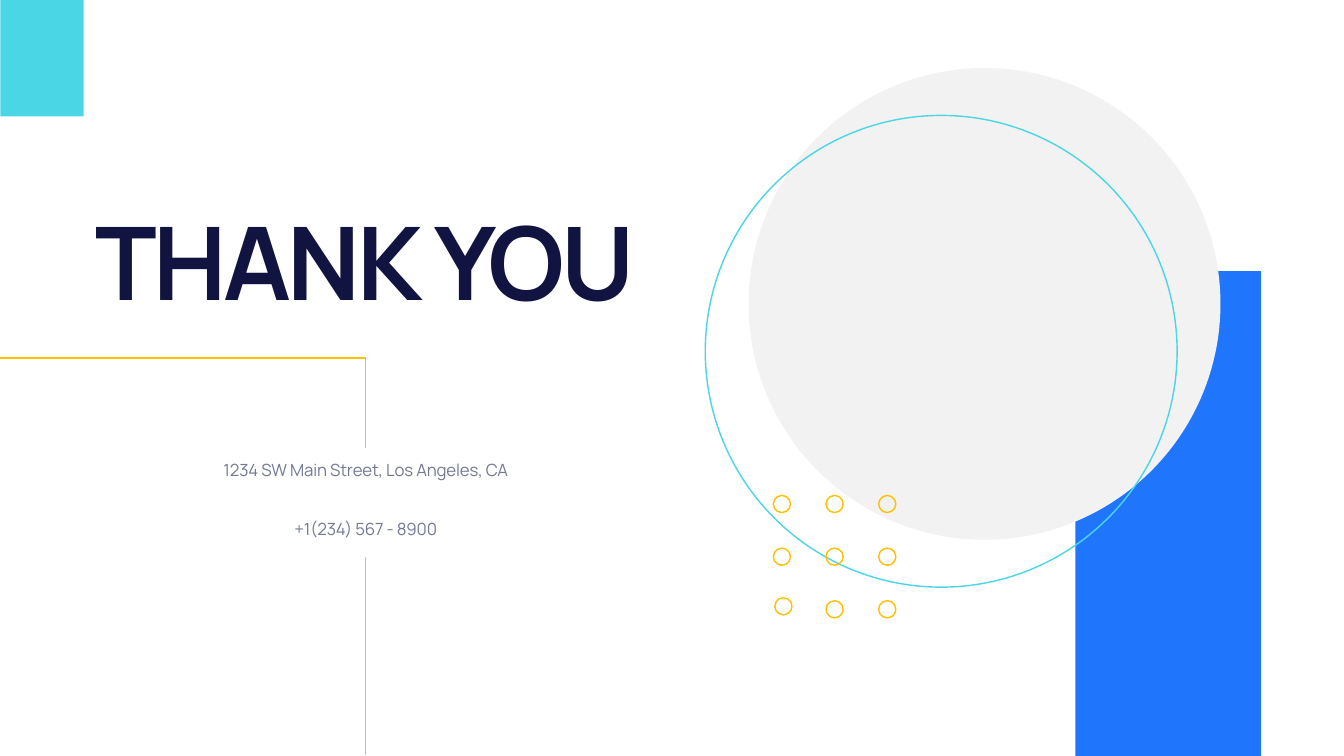
from lxml import etree
from pptx import Presentation
from pptx.dml.color import RGBColor
from pptx.enum.shapes import MSO_CONNECTOR, MSO_SHAPE
from pptx.enum.text import MSO_ANCHOR, MSO_AUTO_SIZE, PP_ALIGN
from pptx.oxml.ns import qn
from pptx.util import Inches, Pt

RECT, OVAL = MSO_SHAPE.RECTANGLE, MSO_SHAPE.OVAL
STRAIGHT = MSO_CONNECTOR.STRAIGHT
TOP, BOTTOM = MSO_ANCHOR.TOP, MSO_ANCHOR.BOTTOM
GROW = MSO_AUTO_SIZE.SHAPE_TO_FIT_TEXT
CENTER = PP_ALIGN.CENTER

BLUE = RGBColor(0x20, 0x75, 0xFD)
CYAN = RGBColor(0x4B, 0xD6, 0xE5)
YELLOW = RGBColor(0xFF, 0xC0, 0x00)
PALE = RGBColor(0xF2, 0xF2, 0xF2)
NAVY = RGBColor(0x11, 0x13, 0x40)
GREY = RGBColor(0x74, 0x79, 0x94)
FONT = "Manrope"
LINE_WIDTH = Pt(2)


def set_line(shape, color):
    """Give a shape or connector the slide's line style."""
    shape.line.color.rgb = color
    shape.line.width = LINE_WIDTH


def add_filled(shapes, kind, box, color):
    """Add a preset shape with a plain fill and no line."""
    sp = shapes.add_shape(kind, *map(Inches, box))
    sp.shadow.inherit = False
    sp.fill.solid()
    sp.fill.fore_color.rgb = color
    sp.line.fill.background()


def add_ring(shapes, left, top, size, color):
    """Add an outlined circle."""
    sp = shapes.add_shape(OVAL, Inches(left), Inches(top), Inches(size), Inches(size))
    sp.shadow.inherit = False
    sp.fill.background()
    set_line(sp, color)


def add_line(shapes, start, end, color):
    """Add a straight line without a shadow."""
    line = shapes.add_connector(STRAIGHT, *map(Inches, start + end))
    set_line(line, color)
    etree.SubElement(line._element.spPr, qn("a:effectLst"))


def add_corner(shapes, points, color):
    """Add an open line through the given points."""
    builder = shapes.build_freeform(*map(Inches, points[0]), scale=1.0)
    builder.add_line_segments([tuple(map(Inches, pt)) for pt in points[1:]], close=False)
    sp = builder.convert_to_shape()
    sp.shadow.inherit = False
    sp.fill.background()
    set_line(sp, color)


def add_ring_grid(shapes):
    """Add the group of three by three small rings."""
    group = shapes.add_group_shape()
    for row in range(3):
        for col in range(3):
            left, top = 15.34 + 1.045 * col, 9.83 + 1.045 * row
            if (row, col) == (2, 0):
                left, top = 15.37, 11.86
            add_ring(group.shapes, left, top, 0.34, YELLOW)


def set_text(sp, box, text, size, color, spacing, anchor=TOP, bold=False):
    """Place a text shape and format its single centred line."""
    sp.left, sp.top, sp.width, sp.height = map(Inches, box)
    tf = sp.text_frame
    tf.text = text
    tf.word_wrap = True
    tf.auto_size = GROW
    tf.vertical_anchor = anchor
    p = tf.paragraphs[0]
    p.alignment = CENTER
    r = p.runs[0]
    r.font.name = FONT
    r.font.size = Pt(size)
    r.font.bold = bold
    r.font.color.rgb = color
    r.font._element.set("spc", str(round(spacing * 100)))
    return p


def add_contact(shapes, top, text):
    """Add one contact line below the title."""
    box = (3.69, top, 7.13, 0.58)
    sp = shapes.add_textbox(*map(Inches, box))
    p = set_text(sp, box, text, 24, GREY, -0.2)
    p.line_spacing = Pt(36)


def main():
    """Build the closing slide."""
    prs = Presentation()
    prs.slide_width, prs.slide_height = Inches(26.66), Inches(15)
    s = prs.slides.add_slide(prs.slide_layouts[5])
    shapes = s.shapes

    add_filled(shapes, RECT, (21.33, 5.38, 3.68, 9.62), BLUE)
    add_line(shapes, (7.25, 11.05), (7.25, 14.99), YELLOW)
    add_corner(shapes, [(0.01, 7.1), (7.25, 7.1), (7.25, 8.88)], YELLOW)
    add_filled(shapes, OVAL, (14.85, 1.35, 9.36, 9.36), PALE)
    add_ring(shapes, 13.99, 2.29, 9.36, CYAN)
    add_ring_grid(shapes)
    add_filled(shapes, RECT, (0.01, 0, 1.65, 2.31), CYAN)

    add_contact(shapes, 8.97, "1234 SW Main Street, Los Angeles, CA")
    add_contact(shapes, 10.15, "+1(234) 567 - 8900")
    set_text(shapes.title, (1.31, 3.87, 11.86, 2.54), "THANK YOU", 145, NAVY, -5,
             anchor=BOTTOM, bold=True)

    prs.save("out.pptx")


main()
